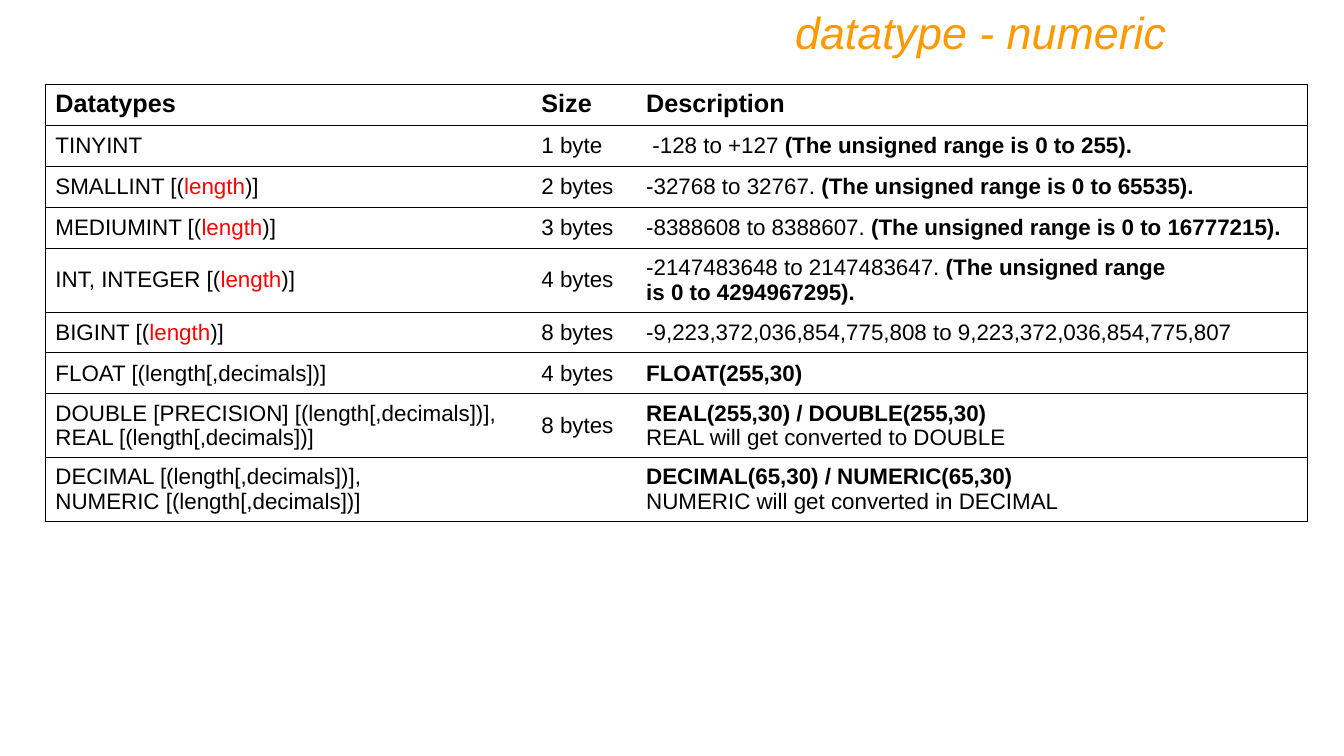
from lxml import etree
from pptx import Presentation
from pptx import util as u
from pptx.dml.color import RGBColor
from pptx.enum import text
from pptx.oxml import ns

BLACK = RGBColor(0, 0, 0)
WHITE = RGBColor(255, 255, 255)
RED = RGBColor(255, 0, 0)
ORANGE = RGBColor(255, 153, 0)
NBSP = chr(160)  # keeps each range together when the text wraps

COLUMN_WIDTHS = (4.82, 1.04, 6.66)
HEADINGS = ("Datatypes", "Size", "Description")


def with_length(name):
    """One paragraph whose length argument is red."""
    return [[(f"{name} [(", BLACK, False), ("length", RED, False), (")]", BLACK, False)]]


def plain(*lines):
    return [[(line, BLACK, False)] for line in lines]


def bold_first(first, *lines):
    return [[(first, BLACK, True)]] + plain(*lines)


def ranges(signed, unsigned_max):
    """One paragraph with the signed range and the bold unsigned range."""
    limits = NBSP.join(("is", "0", "to", unsigned_max))
    return [[(signed, BLACK, False), (f"(The unsigned range {limits}).", BLACK, True)]]


def signed_range(low, high):
    return NBSP.join((low, "to", high)) + ". "


DATATYPES = [
    (plain("TINYINT"), "1 byte", ranges(NBSP + "-128 to +127 ", "255")),
    (with_length("SMALLINT"), "2 bytes", ranges(signed_range("-32768", "32767"), "65535")),
    (with_length("MEDIUMINT"), "3 bytes",
     ranges(signed_range("-8388608", "8388607"), "16777215")),
    (with_length("INT, INTEGER"), "4 bytes",
     ranges(signed_range("-2147483648", "2147483647"), "4294967295")),
    (with_length("BIGINT"), "8 bytes",
     plain("-9,223,372,036,854,775,808 to 9,223,372,036,854,775,807")),
    (plain("FLOAT [(length[,decimals])]"), "4 bytes", bold_first("FLOAT(255,30)")),
    (plain("DOUBLE [PRECISION] [(length[,decimals])],", "REAL [(length[,decimals])]"),
     "8 bytes",
     bold_first("REAL(255,30) / DOUBLE(255,30)", "REAL will get converted to DOUBLE")),
    (plain("DECIMAL [(length[,decimals])],", "NUMERIC [(length[,decimals])]"), "",
     bold_first("DECIMAL(65,30) / NUMERIC(65,30)", "NUMERIC will get converted in DECIMAL")),
]


class SlideBuilder:
    font_name = "Arial"
    title_size, heading_size, body_size = 32, 18, 16
    border_width = 0.75

    def __init__(self, presentation):
        self.slide = presentation.slides.add_slide(presentation.slide_layouts[6])

    def style(self, paragraph, size):
        paragraph.font.name = self.font_name
        paragraph.font.size = u.Pt(size)

    def title(self, wording, left, top, width, height):
        shape = self.slide.shapes.add_textbox(
            u.Inches(left), u.Inches(top), u.Inches(width), u.Inches(height))
        shape.text_frame.word_wrap = True
        shape.text_frame.auto_size = text.MSO_AUTO_SIZE.SHAPE_TO_FIT_TEXT
        paragraph = shape.text_frame.paragraphs[0]
        paragraph.text = wording
        paragraph.alignment = text.PP_ALIGN.RIGHT
        self.style(paragraph, self.title_size)
        paragraph.font.italic = True
        paragraph.font.color.rgb = ORANGE

    def borders(self, cell, visible_sides):
        properties = cell._tc.get_or_add_tcPr()
        for side in "LRTB":
            line = etree.SubElement(properties, ns.qn(f"a:ln{side}"),
                                    w=str(u.Pt(self.border_width)))
            if side in visible_sides:
                fill = etree.SubElement(line, ns.qn("a:solidFill"))
                etree.SubElement(fill, ns.qn("a:srgbClr"), val=str(BLACK))
            else:
                etree.SubElement(line, ns.qn("a:noFill"))

    def cell_text(self, cell, paragraphs, size):
        frame = cell.text_frame
        for index, runs in enumerate(paragraphs):
            paragraph = frame.add_paragraph() if index else frame.paragraphs[0]
            self.style(paragraph, size)
            if len(runs) == 1:
                wording, color, bold = runs[0]
                paragraph.text = wording
                paragraph.font.color.rgb = color
                paragraph.font.bold = bold
                continue
            for wording, color, bold in runs:
                run = paragraph.add_run()
                run.text = wording
                run.font.color.rgb = color
                run.font.bold = bold

    def table(self, rows, left, top, height):
        """Bordered table; the first row holds headings, inner columns have no lines."""
        last = len(COLUMN_WIDTHS) - 1
        table = self.slide.shapes.add_table(
            len(rows), len(COLUMN_WIDTHS), u.Inches(left), u.Inches(top),
            u.Inches(sum(COLUMN_WIDTHS)), u.Inches(height)).table
        table.first_row = table.horz_banding = False
        for column, width in zip(table.columns, COLUMN_WIDTHS):
            column.width = u.Inches(width)
        for row_index, row in enumerate(rows):
            for column_index, paragraphs in enumerate(row):
                cell = table.cell(row_index, column_index)
                sides = "TB" + "L" * (column_index == 0) + "R" * (column_index == last)
                self.borders(cell, sides)
                cell.fill.solid()
                cell.fill.fore_color.rgb = WHITE
                if row_index:
                    cell.vertical_anchor = text.MSO_ANCHOR.MIDDLE
                size = self.body_size if row_index else self.heading_size
                self.cell_text(cell, paragraphs, size)


def main():
    presentation = Presentation()
    presentation.slide_width = u.Inches(13.33)
    presentation.slide_height = u.Inches(7.5)
    builder = SlideBuilder(presentation)
    builder.title("datatype - numeric", 1.67, 0, 10, 0.64)
    rows = [[bold_first(heading) for heading in HEADINGS]]
    rows += [(name, plain(size), description) for name, size, description in DATATYPES]
    builder.table(rows, 0.45, 0.84, 3.65)
    presentation.save("out.pptx")


if __name__ == "__main__":
    main()
